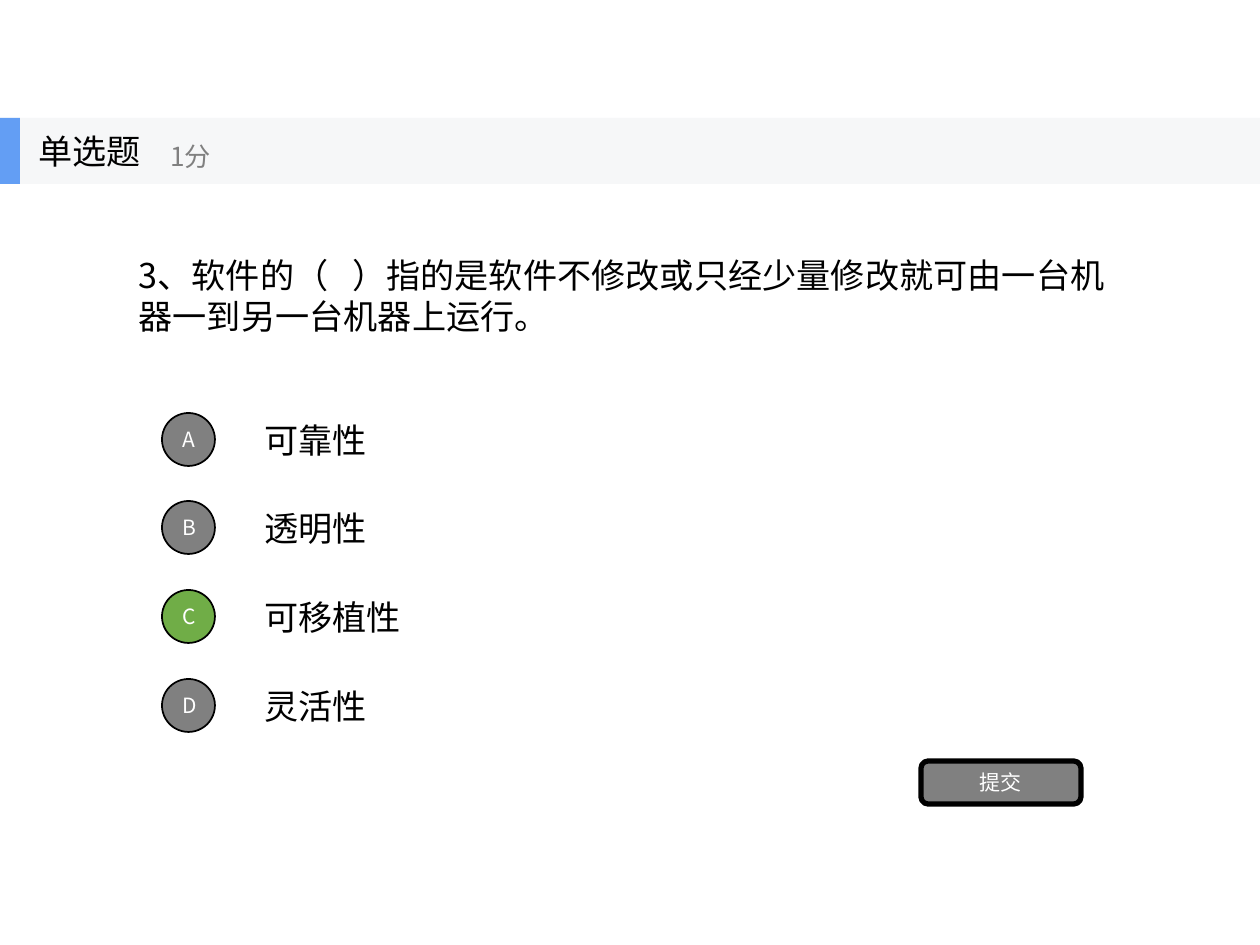
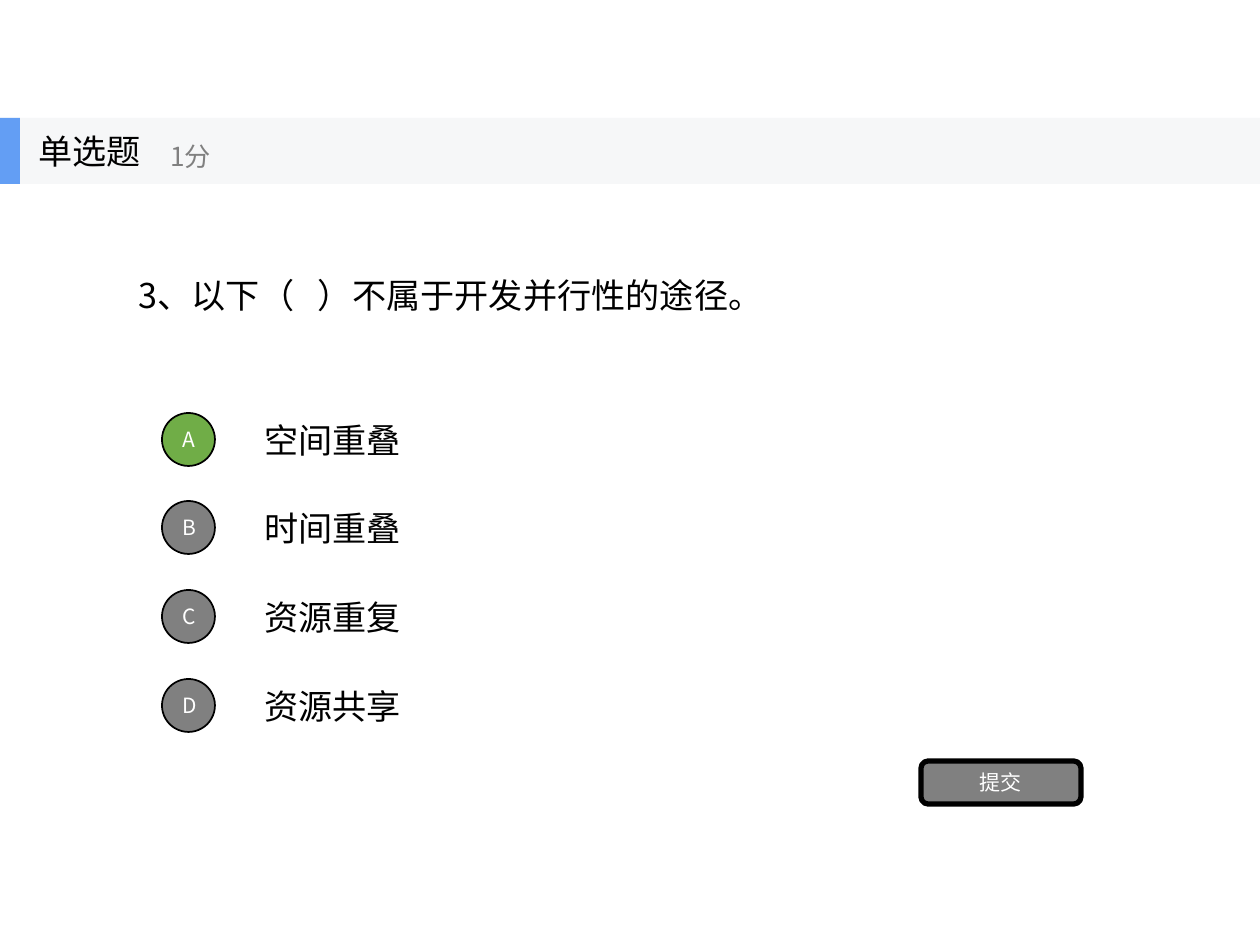
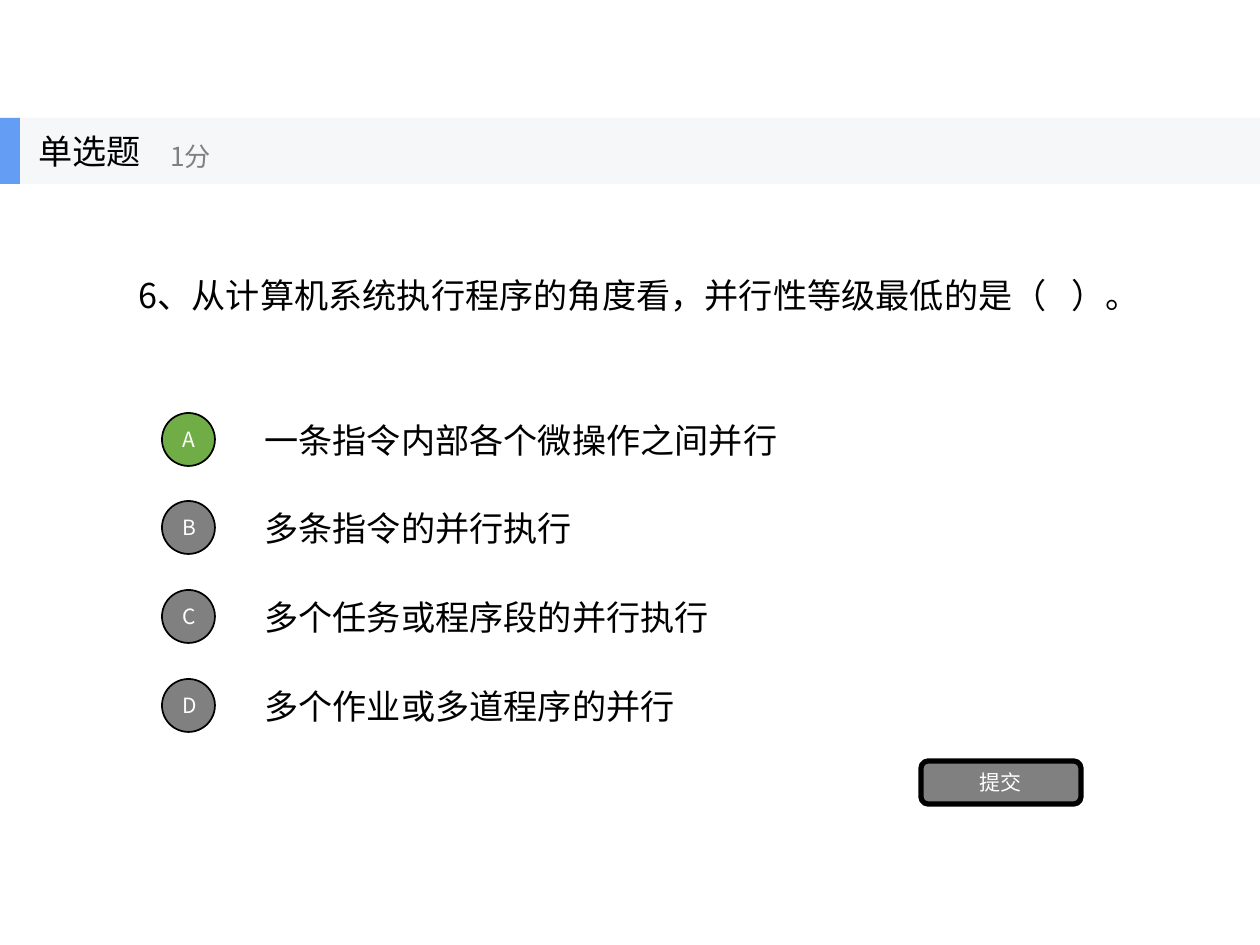
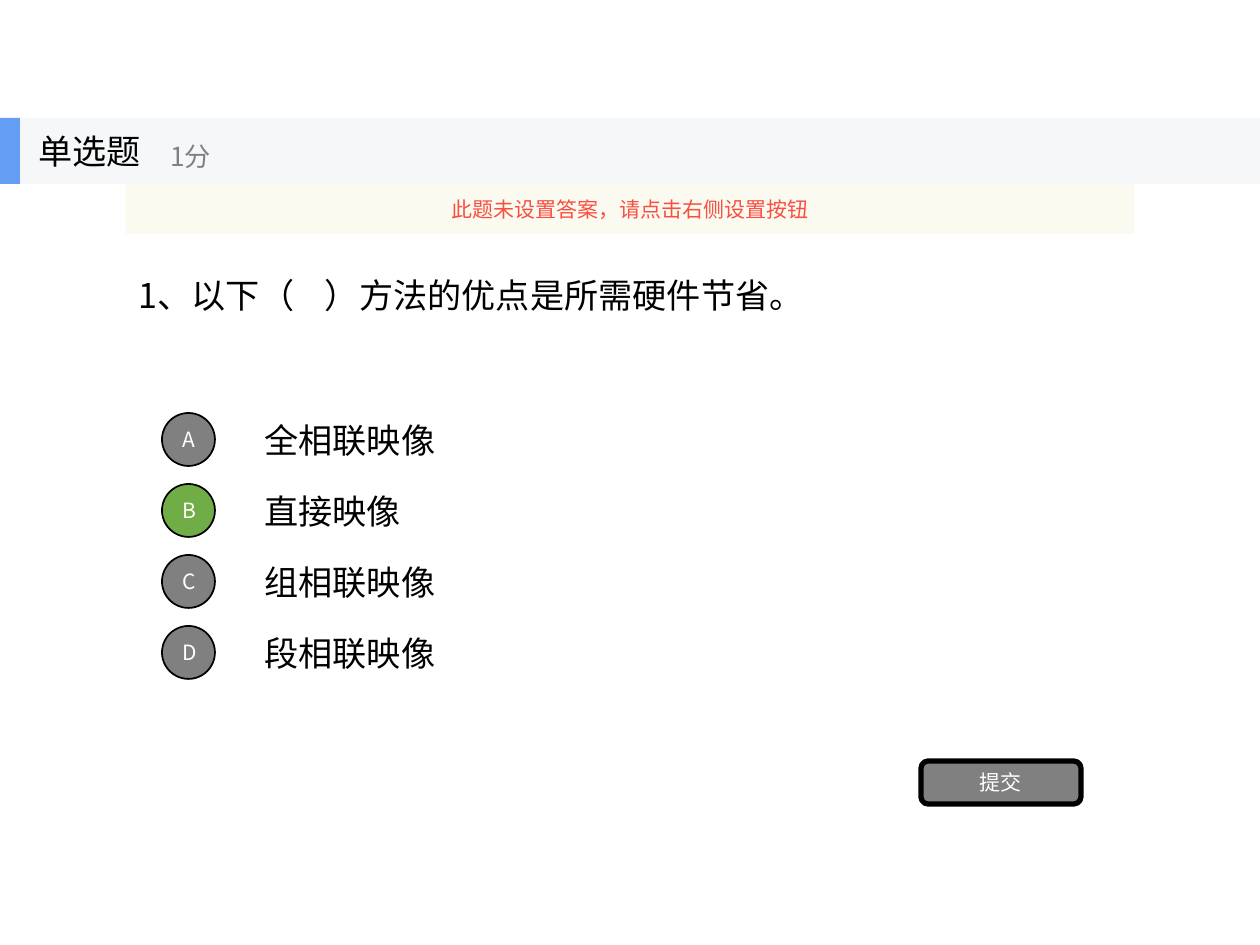
from lxml import etree
from pptx import Presentation, util as u
from pptx.dml.color import RGBColor
from pptx.enum import shapes, text
from pptx.oxml.ns import qn

# Shared style: 126 px to the inch
PX = u.Inches(1) / 126
FONT = "Noto Sans CJK SC"
BLACK, WHITE, GREY, GREEN = "000000", "FFFFFF", "808080", "70AD47"
BAND, ACCENT, CREAM, RED = "F6F7F8", "639EF4", "FBFAEF", "F84F41"
BIG, MID, SMALL = 19.5, 15, 12
KIND = shapes.MSO_SHAPE
LEFT, CENTER = text.PP_ALIGN.LEFT, text.PP_ALIGN.CENTER

# Each question: (stem, blank width in points, options, answer, option span, notice)
WIDE, TIGHT = 266, 213
ITEMS = [
    ("3、软件的（ ）指的是软件不修改或只经少量修改就可由一台机器一到另一台机器上运行。", 9,
     ["可靠性", "透明性", "可移植性", "灵活性"], "C", WIDE, ""),
    ("3、以下（ ）不属于开发并行性的途径。", 9,
     ["空间重叠", "时间重叠", "资源重复", "资源共享"], "A", WIDE, ""),
    ("6、从计算机系统执行程序的角度看，并行性等级最低的是（ ）。", 9,
     ["一条指令内部各个微操作之间并行", "多条指令的并行执行",
      "多个任务或程序段的并行执行", "多个作业或多道程序的并行"], "A", WIDE, ""),
    ("1、以下（ ）方法的优点是所需硬件节省。", 13,
     ["全相联映像", "直接映像", "组相联映像", "段相联映像"], "B", TIGHT,
     "此题未设置答案，请点击右侧设置按钮"),
]


def color(code):
    return RGBColor.from_string(code)


def emu(*nums):
    return [round(n * PX) for n in nums]


def style(frame, size, code, align=LEFT):
    frame.word_wrap = True
    frame.auto_size = text.MSO_AUTO_SIZE.NONE
    frame.vertical_anchor = text.MSO_ANCHOR.MIDDLE
    para = frame.paragraphs[0]
    para.alignment = align
    for run in para.runs:
        run.font.name = FONT
        run.font.size = u.Pt(size)
        run.font.color.rgb = color(code)
        etree.SubElement(run.font._element, qn("a:ea"), typeface=FONT)


def label(parent, box, words, size, code=BLACK):
    frame = parent.add_textbox(*emu(*box)).text_frame
    frame.text = words
    style(frame, size, code)


def block(parent, kind, box, fill, line=0, words="", code=WHITE):
    shape = parent.add_shape(kind, *emu(*box))
    shape.shadow.inherit = False
    shape.fill.solid()
    shape.fill.fore_color.rgb = color(fill)
    if line:
        shape.line.color.rgb = color(BLACK)
        shape.line.width = u.Pt(line)
    else:
        shape.line.fill.background()
    if words:
        shape.text_frame.text = words
        style(shape.text_frame, SMALL, code, CENTER)
    return shape


def header(slide):
    group = slide.shapes.add_group_shape().shapes
    block(group, KIND.RECTANGLE, (0, 118, 1260, 66), BAND)
    block(group, KIND.RECTANGLE, (0, 118, 20, 66), ACCENT)
    label(group, (26, 118, 197, 66), "单选题", BIG)
    label(group, (158, 130, 237, 53), "1分", MID, GREY)


def question(slide, stem, blank):
    title = slide.shapes.title
    title.left, title.top, title.width, title.height = emu(126, 184, 1008, 222)
    para = title.text_frame.paragraphs[0]
    for part in stem.partition(" "):
        para.add_run().text = part
    style(title.text_frame, BIG, BLACK)
    # Widen the answer blank between the brackets
    para.runs[1].font._element.set("spc", str(blank * 100))


def choices(slide, options, answer, span):
    for i, (key, words) in enumerate(zip("ABCD", options)):
        top = 406 + span * i // 3
        label(slide.shapes, (252, top, 882, 67), words, BIG)
        fill = GREEN if key == answer else GREY
        block(slide.shapes, KIND.OVAL, (162, top + 7, 53, 53), fill, 1, key)


def warn(slide, words):
    bar = block(slide.shapes, KIND.RECTANGLE, (126, 184, 1008, 50), CREAM, 0, words, RED)
    tint = bar._element.spPr.find(qn("a:solidFill"))[0]
    etree.SubElement(tint, qn("a:alpha"), val="90000")


def main():
    deck = Presentation()
    deck.slide_width, deck.slide_height = emu(1260, 945)
    for stem, blank, options, answer, span, notice in ITEMS:
        slide = deck.slides.add_slide(deck.slide_layouts[5])
        question(slide, stem, blank)
        choices(slide, options, answer, span)
        block(slide.shapes, KIND.ROUNDED_RECTANGLE, (921, 761, 160, 43), GREY, 3, "提交")
        header(slide)
        if notice:
            warn(slide, notice)
    deck.save("out.pptx")


if __name__ == "__main__":
    main()
